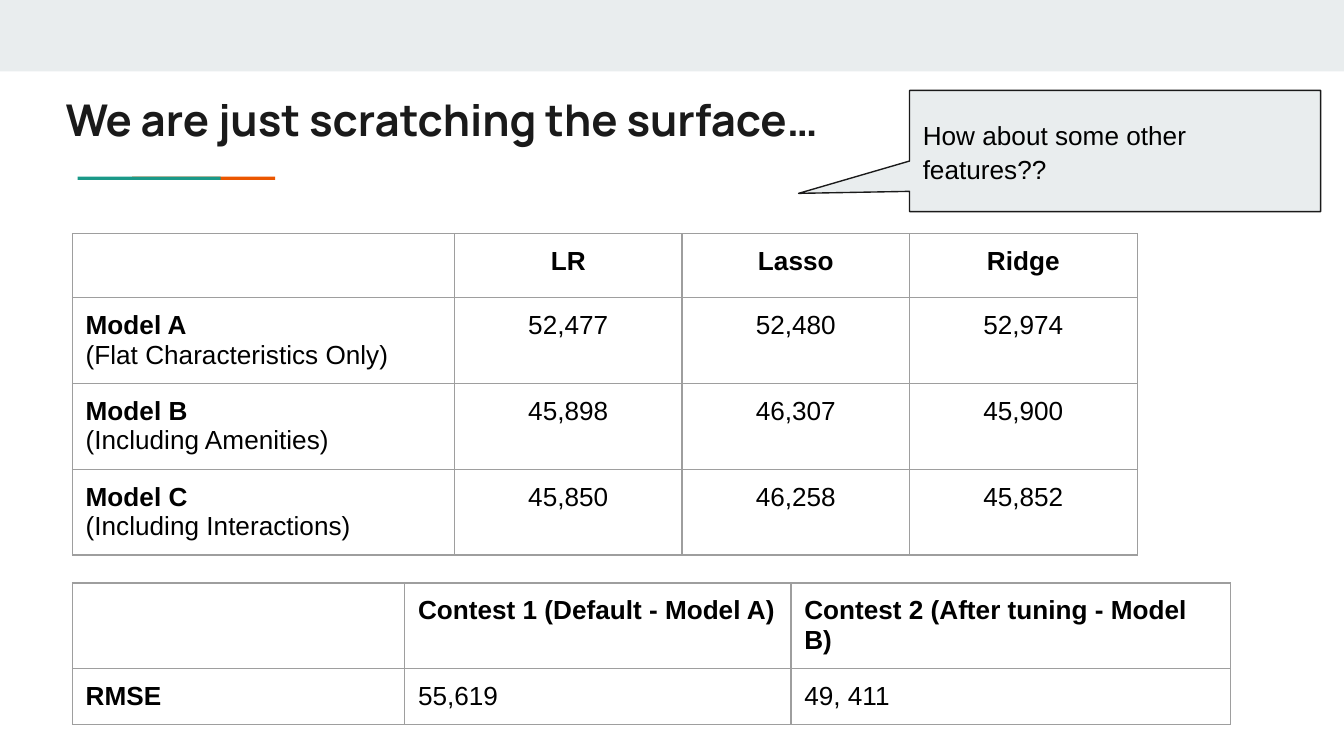
from lxml.etree import SubElement
from pptx import Presentation
from pptx.dml.color import RGBColor as RGB
from pptx.enum.shapes import MSO_SHAPE as SHAPE
from pptx.enum.text import MSO_ANCHOR as ANCHOR, MSO_AUTO_SIZE as AUTO, PP_ALIGN as ALIGN
from pptx.oxml.ns import qn
from pptx.util import Cm, Pt

COLORS = {"band": "E9EDEE", "teal": "1A9988", "orange": "EB5600",
          "ink": "1A1A1A", "text": "000000", "border": "9E9E9E"}
BODY = {"name": "Arial", "size": Pt(14), "bold": False}
BOLD = {**BODY, "bold": True}
TITLE = {"name": "Manrope", "size": Pt(23.4), "bold": True}
INSETS = {f"margin_{side}": Cm(0.25) for side in ("left", "top", "right", "bottom")}


def set_attrs(obj, values):
    for name, value in values.items():
        setattr(obj, name, value)


def color(name):
    return RGB.from_string(COLORS[name])


def write(p, text, fmt, ink="text"):
    r = p.add_run()
    r.text = text
    set_attrs(r.font, fmt)
    r.font.color.rgb = color(ink)


def add_box(s, kind, box, fill):
    sp = s.shapes.add_shape(kind, *map(Cm, box))
    sp.shadow.inherit = False
    sp.fill.solid()
    sp.fill.fore_color.rgb = color(fill)
    sp.line.fill.background()
    return sp


def add_title(s, box, text):
    sp = s.shapes.title
    set_attrs(sp, dict(zip(("left", "top", "width", "height"), map(Cm, box))))
    tf = sp.text_frame
    set_attrs(tf, {**INSETS, "word_wrap": True, "auto_size": AUTO.NONE,
                   "vertical_anchor": ANCHOR.TOP})
    tf.paragraphs[0].alignment = ALIGN.LEFT
    write(tf.paragraphs[0], text, TITLE, "ink")


def add_accent(s, box):
    left, top, width, height = box
    bar = 2.7
    add_box(s, SHAPE.RECTANGLE, (left + width - bar, top, bar, height), "orange")
    add_box(s, SHAPE.RECTANGLE, (left, top, bar, height), "teal")


def add_callout(s, box, text):
    sp = add_box(s, SHAPE.RECTANGULAR_CALLOUT, box, "band")
    sp.adjustments[0], sp.adjustments[1] = -0.77, 0.35
    sp.line.color.rgb = color("ink")
    sp.line.width = Pt(0.75)
    tf = sp.text_frame
    set_attrs(tf, {**INSETS, "word_wrap": True, "vertical_anchor": ANCHOR.MIDDLE})
    p = tf.paragraphs[0]
    set_attrs(p, {"alignment": ALIGN.LEFT, "line_spacing": 1.08})
    write(p, text, BODY)


def add_borders(cell):
    tc_pr = cell._tc.get_or_add_tcPr()
    for side in ("lnL", "lnR", "lnT", "lnB"):
        ln = SubElement(tc_pr, qn(f"a:{side}"), w=str(Pt(0.75)))
        fill = SubElement(ln, qn("a:solidFill"))
        SubElement(fill, qn("a:srgbClr"), val=COLORS["border"])


def add_grid(s, left, top, widths, heights, rows, value_align):
    box = map(Cm, (left, top, sum(widths), sum(heights)))
    table = s.shapes.add_table(len(rows), len(widths), *box).table
    set_attrs(table, {"first_row": False, "horz_banding": False})
    for column, width in zip(table.columns, widths):
        column.width = Cm(width)
    for i, (row, height) in enumerate(zip(rows, heights)):
        table.rows[i].height = Cm(height)
        for j, text in enumerate(row):
            cell = table.cell(i, j)
            add_borders(cell)
            cell.fill.background()
            if not text:
                continue
            set_attrs(cell, INSETS)
            tf = cell.text_frame
            for k, line in enumerate(text.split("\n")):
                p = tf.add_paragraph() if k else tf.paragraphs[0]
                p.alignment = value_align if j else ALIGN.LEFT
                heading = k == 0 and (i == 0 or j == 0)
                write(p, line, BOLD if heading else BODY)


def main():
    prs = Presentation()
    prs.slide_width, prs.slide_height = Cm(25.4), Cm(14.29)
    s = prs.slides.add_slide(prs.slide_layouts[5])
    add_box(s, SHAPE.RECTANGLE, (0, 0, 25.4, 1.35), "band")
    add_accent(s, (1.47, 3.34, 3.73, 0.06))
    add_title(s, (0.99, 1.5, 23.67, 1.6), "We are just scratching the surface…")
    add_grid(s, 1.37, 4.42, [7.22] + [4.3] * 3, [1.21] + [1.62] * 3, [
        ("", "LR", "Lasso", "Ridge"),
        ("Model A\n(Flat Characteristics Only)", "52,477", "52,480", "52,974"),
        ("Model B\n(Including Amenities)", "45,898", "46,307", "45,900"),
        ("Model C\n(Including Interactions)", "45,850", "46,258", "45,852"),
    ], ALIGN.CENTER)
    add_grid(s, 1.37, 11.02, [6.28, 7.3, 8.3], [1.21, 1.06], [
        ("", "Contest 1 (Default - Model A)", "Contest 2 (After tuning - Model B)"),
        ("RMSE", "55,619", "49, 411"),
    ], ALIGN.LEFT)
    add_callout(s, (17.19, 1.71, 7.77, 2.29), "How about some other features??")
    prs.save("out.pptx")


if __name__ == "__main__":
    main()
